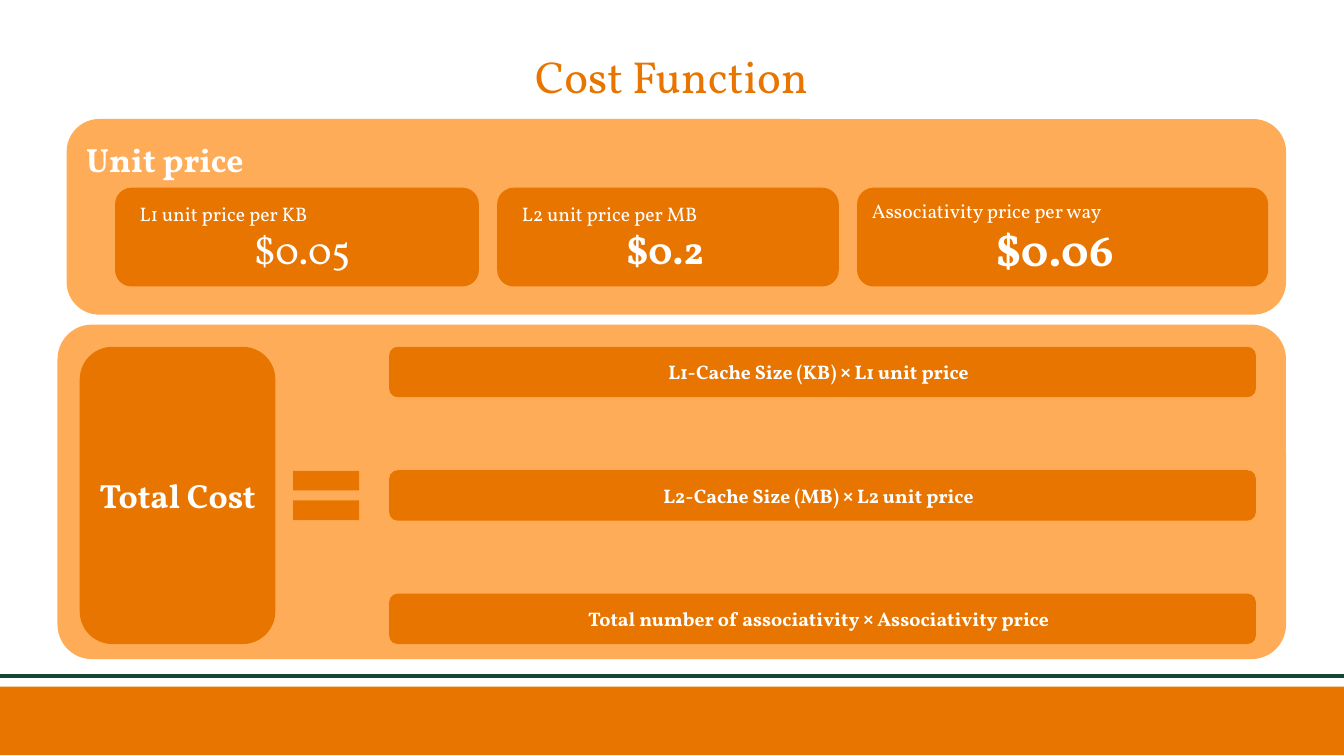
from lxml import etree
from pptx import Presentation
from pptx.dml.color import RGBColor
from pptx.enum.shapes import MSO_CONNECTOR, MSO_SHAPE
from pptx.enum.text import MSO_ANCHOR, PP_ALIGN
from pptx.oxml.ns import qn
from pptx.util import Cm, Pt

ORANGE = RGBColor(0xE8, 0x75, 0x00)
PEACH = RGBColor(0xFF, 0xAC, 0x58)
GREEN = RGBColor(0x15, 0x47, 0x34)
WHITE = RGBColor(0xFF, 0xFF, 0xFF)
FONT, SIGN_FONT = "Vollkorn", "Calibri"
WIDTH, HEIGHT = 33.87, 19.05
PAD, DEEP_PAD = 0.25, 0.64

# label, price, price size, price bold, width, left pad, right pad
UNIT_PRICES = [
    ("L1 unit price per KB", "$0.05", 28, False, 9.17, 0.5, PAD),
    ("L2 unit price per MB", "$0.2", 28, True, 8.61, 0.5, DEEP_PAD),
    ("Associativity price per way", "$0.06", 32, True, 10.36, PAD, DEEP_PAD),
]
COST_TERMS = [
    ("L1-Cache Size (KB)", "L1 unit price"),
    ("L2-Cache Size (MB)", "L2 unit price"),
    ("Total number of associativity", "Associativity price"),
]


def add_block(s, kind, x, y, w, h, color):
    sp = s.shapes.add_shape(kind, Cm(x), Cm(y), Cm(w), Cm(h))
    sp.shadow.inherit = False
    sp.fill.solid()
    sp.fill.fore_color.rgb = color
    sp.line.fill.background()
    return sp


def set_frame(tf, left=PAD, top=PAD, right=PAD, bottom=PAD,
              anchor=MSO_ANCHOR.MIDDLE, wrap=True):
    tf.margin_left, tf.margin_right = Cm(left), Cm(right)
    tf.margin_top, tf.margin_bottom = Cm(top), Cm(bottom)
    tf.vertical_anchor = anchor
    tf.word_wrap = wrap


def add_run(p, text, size, bold=False, color=WHITE, font=FONT):
    r = p.add_run()
    r.text = text
    r.font.name, r.font.size, r.font.bold = font, Pt(size), bold
    r.font.color.rgb = color


def add_title(s, x, y, w, h):
    title = s.shapes.title
    title.left, title.top, title.width, title.height = Cm(x), Cm(y), Cm(w), Cm(h)
    set_frame(title.text_frame)
    p = title.text_frame.paragraphs[0]
    p.alignment = PP_ALIGN.CENTER
    add_run(p, "Cost Function", 32, color=ORANGE)


def add_footer(s, y, h):
    add_block(s, MSO_SHAPE.RECTANGLE, 0, y, WIDTH, h, ORANGE)
    rule_y = Cm(y - 0.26)
    rule = s.shapes.add_connector(MSO_CONNECTOR.STRAIGHT, 0, rule_y, Cm(WIDTH), rule_y)
    rule.line.color.rgb = GREEN
    rule.line.width = Pt(3)
    etree.SubElement(rule._element.spPr, qn("a:effectLst"))


def add_unit_prices(s, x, y, w, h):
    panel = add_block(s, MSO_SHAPE.ROUNDED_RECTANGLE, x, y, w, h, PEACH)
    set_frame(panel.text_frame, bottom=DEEP_PAD, anchor=MSO_ANCHOR.TOP)
    p = panel.text_frame.paragraphs[0]
    p.alignment = PP_ALIGN.LEFT
    add_run(p, "Unit price", 24, True)

    # Price cards, left to right
    card_x, gap = x + 1.22, 0.46
    for label, price, size, bold, card_w, left, right in UNIT_PRICES:
        card = add_block(s, MSO_SHAPE.ROUNDED_RECTANGLE,
                         card_x, y + 1.73, card_w, 2.49, ORANGE)
        tf = card.text_frame
        set_frame(tf, left, DEEP_PAD, right, DEEP_PAD)
        p = tf.paragraphs[0]
        p.alignment = PP_ALIGN.LEFT
        add_run(p, label, 14)
        p = tf.add_paragraph()
        p.alignment = PP_ALIGN.CENTER
        add_run(p, price, size, bold)
        card_x += card_w + gap


def add_total_cost(s, x, y, w, h):
    panel = add_block(s, MSO_SHAPE.ROUNDED_RECTANGLE, x, y, w, h, PEACH)
    panel.adjustments[0] = 0.103

    # Left side of the equation
    top, total_h = y + 0.56, 7.49
    total = add_block(s, MSO_SHAPE.ROUNDED_RECTANGLE, x + 0.56, top, 4.93, total_h, ORANGE)
    set_frame(total.text_frame, wrap=False)
    p = total.text_frame.paragraphs[0]
    p.alignment = PP_ALIGN.CENTER
    add_run(p, "Total Cost", 24, True)
    add_block(s, MSO_SHAPE.MATH_EQUAL, x + 5.64, y + 3.25, 2.26, 2.11, ORANGE)

    # Cost terms, spread over the height of the total
    bar_h = 1.27
    pitch = (total_h - bar_h) / (len(COST_TERMS) - 1)
    for i, (amount, price) in enumerate(COST_TERMS):
        bar = add_block(s, MSO_SHAPE.ROUNDED_RECTANGLE,
                        x + 8.36, top + i * pitch, 21.84, bar_h, ORANGE)
        set_frame(bar.text_frame, right=0.45)
        p = bar.text_frame.paragraphs[0]
        p.alignment = PP_ALIGN.CENTER
        add_run(p, amount + " ", 14, True)
        add_run(p, "×", 14, True, font=SIGN_FONT)
        add_run(p, " " + price, 14, True)


def main():
    prs = Presentation()
    prs.slide_width, prs.slide_height = Cm(WIDTH), Cm(HEIGHT)
    s = prs.slides.add_slide(prs.slide_layouts[5])
    add_footer(s, 17.3, 1.73)
    add_title(s, 2.97, 1.17, 27.91, 1.45)
    add_total_cost(s, 1.45, 8.18, 30.96, 8.43)
    add_unit_prices(s, 1.68, 3, 30.73, 4.93)
    prs.save("out.pptx")


if __name__ == "__main__":
    main()
